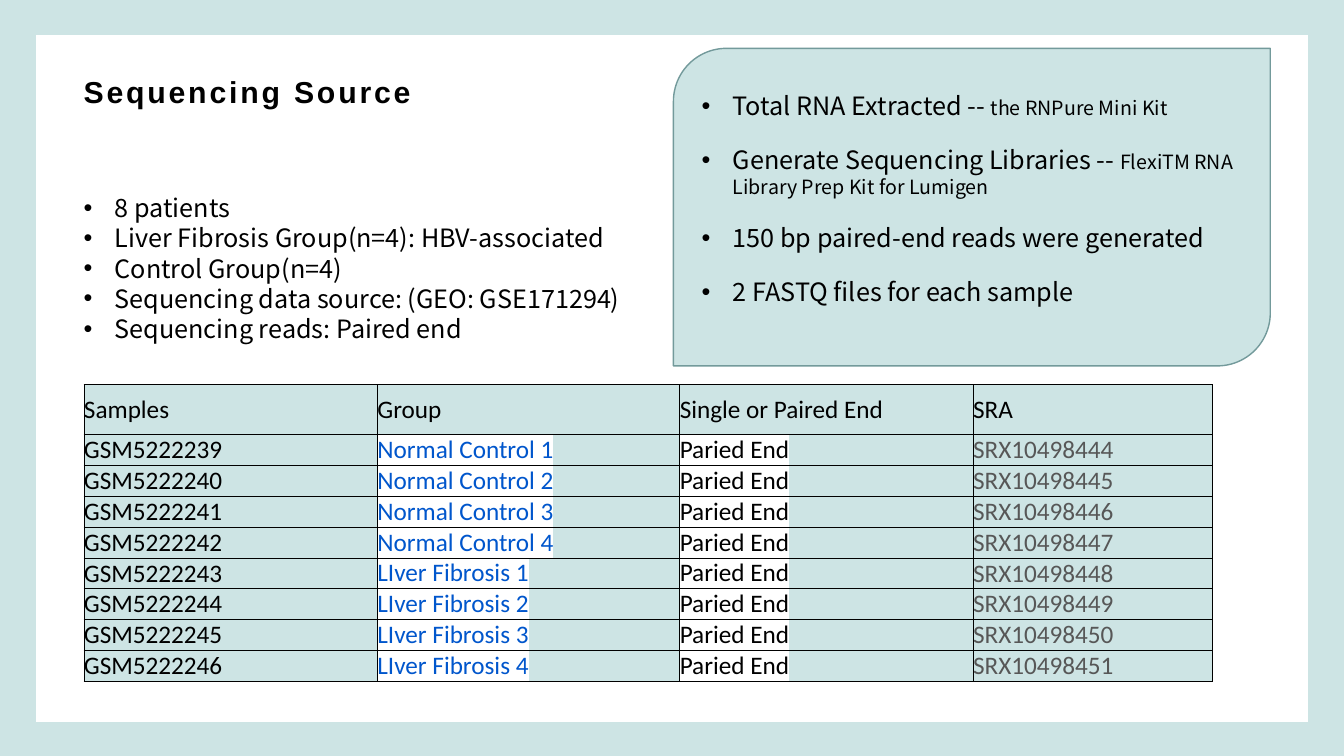
from pptx import Presentation
from pptx.dml.color import RGBColor
from pptx.enum.shapes import MSO_SHAPE
from pptx.enum.text import MSO_ANCHOR
from pptx.oxml.ns import qn
from pptx.util import Inches, Pt
from lxml.etree import SubElement

WIDE, HIGH = Inches(13.33), Inches(7.5)
MINT = RGBColor(0xCD, 0xE4, 0xE4)
TEAL = RGBColor(0x73, 0x9A, 0x9B)
WHITE = RGBColor(0xFF, 0xFF, 0xFF)
BLACK = RGBColor(0x00, 0x00, 0x00)
BLUE = RGBColor(0x00, 0x56, 0xCC)
GREY = RGBColor(0x57, 0x57, 0x57)
SANS = "Noto Sans CJK SC"

# Each item is a list of (text, size) runs
GROUPS = [[(text, 18)] for text in (
    "8 patients",
    "Liver Fibrosis Group(n=4): HBV-associated",
    "Control Group(n=4)",
    "Sequencing data source: (GEO: GSE171294)",
    "Sequencing reads: Paired end",
)]
STEPS = [
    [("Total RNA Extracted -- ", 18), ("the RNPure Mini Kit", 14)],
    [("Generate Sequencing Libraries -- ", 18),
     ("FlexiTM RNA Library Prep Kit for Lumigen", 14)],
    [("150 bp paired-end reads were generated", 18)],
    [("2 FASTQ files for each sample", 18)],
]
HEADS = ["Samples", "Group", "Single or Paired End", "SRA"]
KINDS = [f"{kind} {num}" for kind in ("Normal Control", "LIver Fibrosis")
         for num in range(1, 5)]
ROWS = [[f"GSM{5222239 + i}", kind, "Paried End", f"SRX{10498444 + i}"]
        for i, kind in enumerate(KINDS)]
SHARES = [21.83, 22.5, 21.83, 17.78]
INKS = [BLACK, BLUE, BLACK, GREY]


def across(share):
    return int(WIDE * share / 100)


def down(share):
    return int(HIGH * share / 100)


def place(left, top, width, height):
    """Turn percentages of the slide into lengths."""
    return across(left), down(top), across(width), down(height)


def style(run, size, face, ink=BLACK):
    run.font.size = Pt(size)
    run.font.color.rgb = ink
    run.font.name = face


def add_panel(slide, kind, area, fill, edge, weight):
    panel = slide.shapes.add_shape(kind, *place(*area))
    panel.shadow.inherit = False
    panel.fill.solid()
    panel.fill.fore_color.rgb = fill
    panel.line.color.rgb = edge
    panel.line.width = Pt(weight)


def add_title(slide, text, area):
    frame = slide.shapes.add_textbox(*place(*area)).text_frame
    frame.word_wrap = True
    frame.vertical_anchor = MSO_ANCHOR.MIDDLE
    frame.text = text
    run = frame.paragraphs[0].runs[0]
    style(run, 21.6, "Arial")
    run.font.bold = True
    run.font._element.set("spc", "200")


def add_bullets(slide, items, area, gap):
    frame = slide.shapes.add_textbox(*place(*area)).text_frame
    frame.word_wrap = True
    for i, parts in enumerate(items):
        para = frame.add_paragraph() if i else frame.paragraphs[0]
        props = para._p.get_or_add_pPr()
        props.set("marL", str(Inches(0.31)))
        props.set("indent", str(-Inches(0.31)))
        SubElement(props, qn("a:buFont"), typeface="Arial")
        SubElement(props, qn("a:buChar"), char="•")
        para.line_spacing = 1.0
        para.space_before = Pt(gap if i else 0)
        for text, size in parts:
            run = para.add_run()
            run.text = text
            style(run, size, SANS)
            run.font._element.set("lang", "en-US")


def add_colour(parent, ink):
    SubElement(parent, qn("a:srgbClr"), val=str(ink))


def fill_cell(cell, text, ink, marked):
    cell.margin_left = cell.margin_right = 0
    cell.margin_top = cell.margin_bottom = 0
    cell.vertical_anchor = MSO_ANCHOR.TOP if marked else MSO_ANCHOR.MIDDLE
    # Borders come before the fill
    props = cell._tc.get_or_add_tcPr()
    for side in ("a:lnL", "a:lnR", "a:lnT", "a:lnB"):
        edge = SubElement(props, qn(side), w=str(Pt(0.75)))
        add_colour(SubElement(edge, qn("a:solidFill")), BLACK)
    cell.fill.solid()
    cell.fill.fore_color.rgb = MINT
    cell.text = text
    run = cell.text_frame.paragraphs[0].runs[0]
    run.font.color.rgb = ink
    if marked:
        add_colour(SubElement(run.font._element, qn("a:highlight")), WHITE)
    style(run, 18, "Calibri", ink)


def add_samples(slide, area):
    data = [HEADS] + ROWS
    table = slide.shapes.add_table(
        len(data), len(HEADS), *place(*area)).table
    for col, share in zip(table.columns, SHARES):
        col.width = across(share)
    for r, line in enumerate(data):
        table.rows[r].height = down(4.08 if r else 6.62)
        for c, text in enumerate(line):
            ink = INKS[c] if r else BLACK
            fill_cell(table.cell(r, c), text, ink, r > 0 and c in (1, 2))


def main():
    deck = Presentation()
    deck.slide_width, deck.slide_height = WIDE, HIGH
    slide = deck.slides.add_slide(deck.slide_layouts[6])

    # Backdrop and white page
    slide.background.fill.solid()
    slide.background.fill.fore_color.rgb = MINT
    add_panel(slide, MSO_SHAPE.RECTANGLE, (2.55, 4.4, 94.9, 91.33),
              WHITE, MINT, 2)

    # Heading, sample table and patient list
    add_title(slide, "Sequencing Source", (5.48, 8.93, 89.05, 6.4))
    add_samples(slide, (6.25, 50.87, 83.94, 39.26))
    add_bullets(slide, GROUPS, (5.48, 24.8, 54.76, 21.47), 0)

    # Preparation steps
    add_panel(slide, MSO_SHAPE.ROUND_2_DIAG_RECTANGLE,
              (50.11, 6.4, 44.41, 42), MINT, TEAL, 1)
    add_bullets(slide, STEPS, (51.46, 11.33, 41.79, 32.27), 17)

    deck.save("out.pptx")


if __name__ == "__main__":
    main()
